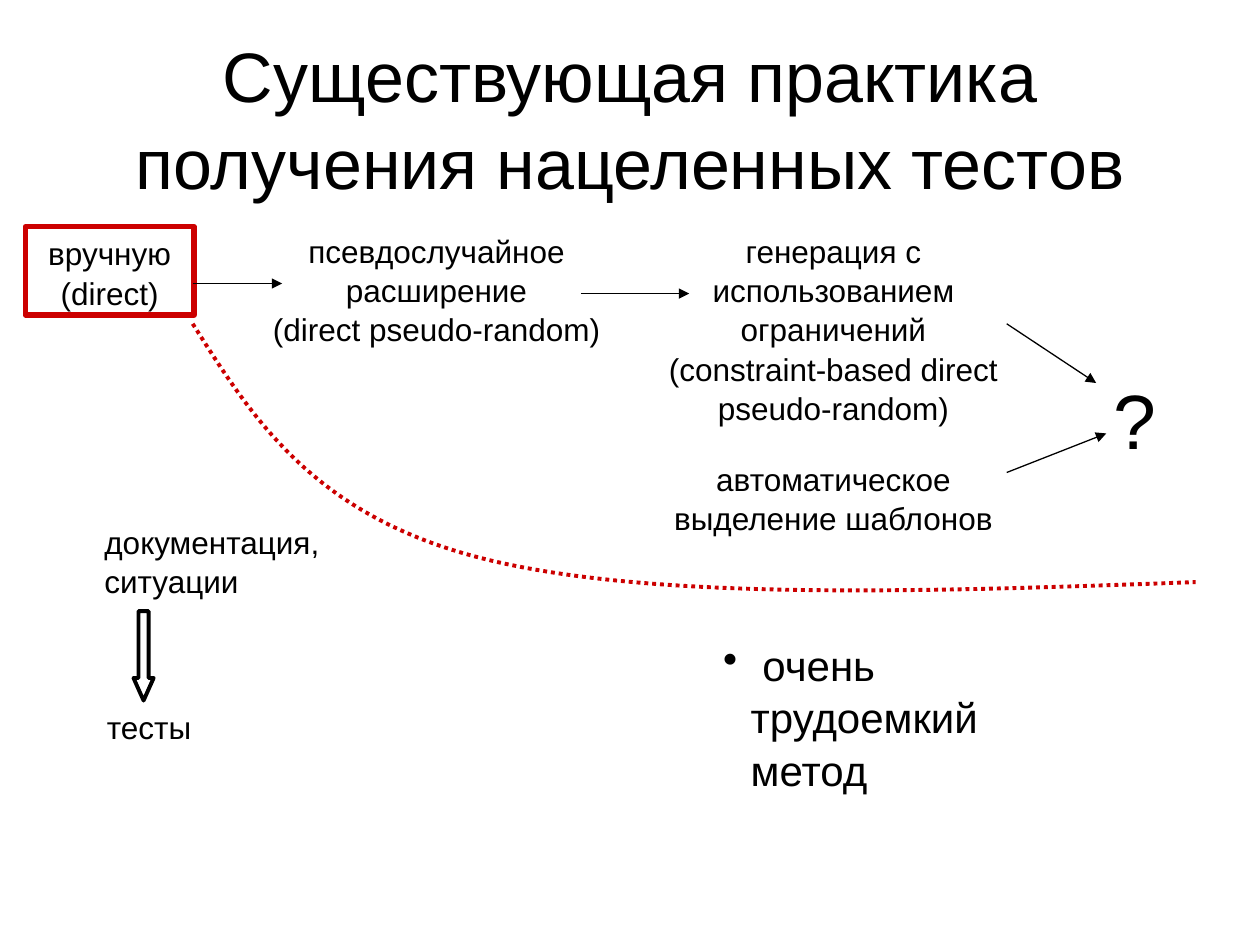
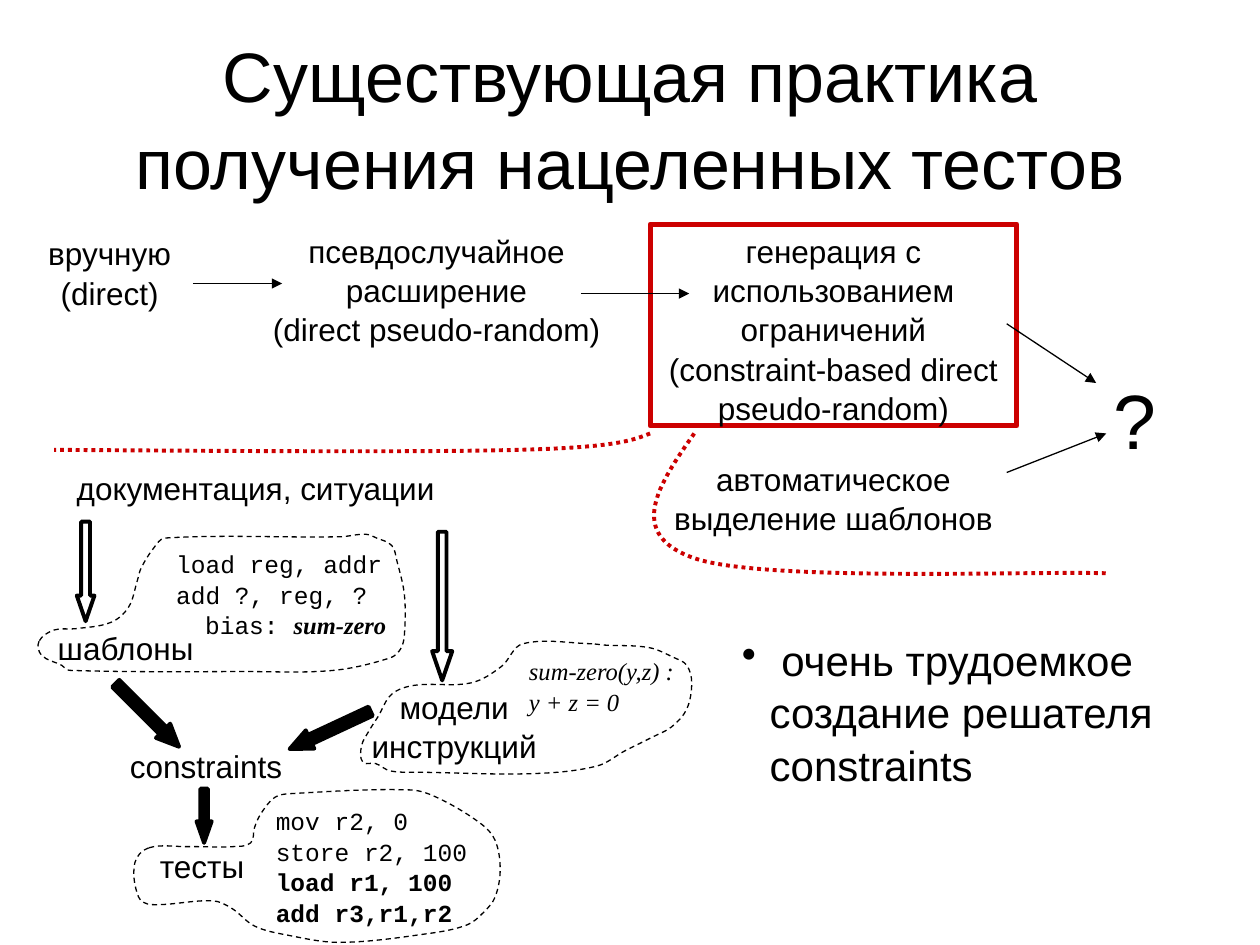
import math

from pptx import Presentation
from pptx.dml.color import RGBColor
from pptx.enum.dml import MSO_LINE
from pptx.enum.shapes import MSO_CONNECTOR, MSO_SHAPE
from pptx.enum.text import MSO_ANCHOR, MSO_AUTO_SIZE, PP_ALIGN
from pptx.oxml.ns import qn
from pptx.oxml.xmlchemy import OxmlElement
from pptx.util import Inches, Pt

RECT, DOWN_ARROW = MSO_SHAPE.RECTANGLE, MSO_SHAPE.DOWN_ARROW
STRAIGHT = MSO_CONNECTOR.STRAIGHT
DOTTED, DASHED = MSO_LINE.ROUND_DOT, MSO_LINE.DASH
LEFT, CENTER = PP_ALIGN.LEFT, PP_ALIGN.CENTER
MIDDLE = MSO_ANCHOR.MIDDLE
TOP = MSO_ANCHOR.TOP
GROW, FIXED = MSO_AUTO_SIZE.SHAPE_TO_FIT_TEXT, MSO_AUTO_SIZE.NONE

BLACK, WHITE, RED = "000000", "FFFFFF", "CC0000"
SANS, MONO, SERIF = "Arial", "Courier New", "Times New Roman"
LINE_SPACING = 1.04
BULLET_INDENT = 0.22
CODE_INDENT = 0.23

TITLE = "Существующая практика получения нацеленных тестов"

# Stages of practice: text and box
STAGES = {
    "direct": ("вручную (direct)", (0.2, 1.8, 1.34, 0.7)),
    "random": ("псевдослучайное расширение\n(direct pseudo-random)",
               (2.01, 1.78, 2.91, 1)),
    "constraint": ("генерация с использованием ограничений "
                   "(constraint-based direct pseudo-random)",
                   (5.16, 1.78, 2.91, 1.6)),
    "templates": ("автоматическое выделение шаблонов",
                  (5.16, 3.59, 2.91, 0.7)),
}
STAGE_ARROWS = [
    ((1.53, 2.25), (2.24, 2.25)),
    ((4.61, 2.33), (5.47, 2.33)),
    ((7.99, 2.57), (8.7, 3.04)),
    ((7.99, 3.75), (8.78, 3.44)),
]

# Anchor points of the dashed outlines
TEMPLATE_OUTLINE = [
    (0.31, 5.09), (0.33, 5.2), (0.49, 5.28), (0.55, 5.32), (1.97, 5.33),
    (2.65, 5.32), (3.1, 5.22), (3.18, 5.15), (3.21, 5.04), (3.21, 4.72),
    (3.15, 4.45), (3.11, 4.33), (2.99, 4.27), (2.9, 4.24), (2.7, 4.26),
    (1.31, 4.27), (1.22, 4.35), (1.12, 4.51), (1.09, 4.61), (1.02, 4.82),
    (0.88, 4.94), (0.6, 4.99), (0.43, 5),
]
MODEL_OUTLINE = [
    (4.7, 5.11), (4.15, 5.11), (3.98, 5.29), (3.74, 5.42), (3.29, 5.44),
    (3.11, 5.51), (3, 5.69), (2.93, 5.8), (2.87, 5.92), (2.88, 6.05),
    (2.98, 6.06), (3.1, 6.12), (3.36, 6.13), (4.25, 6.14), (4.74, 6.08),
    (4.96, 5.96), (5.18, 5.85), (5.33, 5.77), (5.45, 5.63), (5.49, 5.42),
    (5.45, 5.28), (5.35, 5.22), (5.15, 5.14), (4.79, 5.12),
]
TEST_OUTLINE = [
    (1.18, 6.73), (1.07, 6.85), (1.1, 7.12), (1.2, 7.18), (1.69, 7.15),
    (1.84, 7.21), (2.02, 7.35), (2.27, 7.42), (2.7, 7.48), (3.4, 7.41),
    (3.71, 7.34), (3.84, 7.24), (3.93, 7.12), (3.97, 6.9), (3.93, 6.67),
    (3.82, 6.54), (3.49, 6.34), (3.26, 6.27), (2.3, 6.3), (2.18, 6.33),
    (2.07, 6.46), (2.02, 6.57), (1.99, 6.69), (1.85, 6.72), (1.49, 6.72),
]


def rgb(value):
    return RGBColor.from_string(value)


def set_format(target, values):
    for name, value in values.items():
        setattr(target, name, value)


def closed_curve(anchors):
    """Bezier points of a smooth closed curve through the anchors."""
    count = len(anchors)

    def control(index, length):
        x, y = anchors[index % count]
        (x0, y0), (x1, y1) = anchors[index - 1], anchors[(index + 1) % count]
        reach = length / 3 / math.dist((x0, y0), (x1, y1))
        return x + (x1 - x0) * reach, y + (y1 - y0) * reach

    points = [anchors[0]]
    for index, anchor in enumerate(anchors):
        following = (index + 1) % count
        length = math.dist(anchor, anchors[following])
        points += [control(index, length), control(following, -length),
                   anchors[following]]
    return points


class Deck:
    def __init__(self):
        self.presentation = Presentation()
        self.presentation.slide_width = Inches(10)
        self.presentation.slide_height = Inches(7.5)
        self.shapes = None

    def new_slide(self):
        layout = self.presentation.slide_layouts[6]
        self.shapes = self.presentation.slides.add_slide(layout).shapes

    def outline(self, shape, color, width, dash=None, fill=None):
        shape.shadow.inherit = False
        set_format(shape.line, {"width": Pt(width), "dash_style": dash})
        shape.line.color.rgb = rgb(color)
        if fill:
            shape.fill.solid()
            shape.fill.fore_color.rgb = rgb(fill)
        else:
            shape.fill.background()

    def put_text(self, shape, paragraphs, size=18, font=SANS, align=LEFT,
                 wrap=True, anchor=TOP, fit=GROW, **style):
        """Each paragraph is a string or a list of (text, style) runs."""
        frame = shape.text_frame
        set_format(frame, {"word_wrap": wrap, "auto_size": fit,
                           "vertical_anchor": anchor})
        for index, runs in enumerate(paragraphs):
            paragraph = frame.add_paragraph() if index else frame.paragraphs[0]
            set_format(paragraph, {"alignment": align,
                                   "line_spacing": LINE_SPACING})
            if isinstance(runs, str):
                runs = [(runs, {})]
            for text, run_style in runs:
                for part, line in enumerate(text.split("\n")):
                    if part:
                        paragraph.add_line_break()
                    if not line:
                        continue
                    run = paragraph.add_run()
                    run.text = line
                    set_format(run.font, {"name": font, "size": Pt(size),
                                          **style, **run_style})
                    run.font.color.rgb = rgb(BLACK)
        return frame

    def label(self, box, *paragraphs, **style):
        shape = self.shapes.add_textbox(*map(Inches, box))
        return self.put_text(shape, paragraphs, **style)

    def bullet(self, box, text):
        frame = self.label(box, text, size=24)
        properties = frame.paragraphs[0]._p.get_or_add_pPr()
        properties.set("marL", str(Inches(BULLET_INDENT)))
        properties.set("indent", str(-Inches(BULLET_INDENT)))
        mark = OxmlElement("a:buChar")
        mark.set("char", "•")
        properties.append(mark)

    def stage(self, box, text, border):
        shape = self.shapes.add_shape(RECT, *map(Inches, box))
        self.outline(shape, border, 3)
        self.put_text(shape, [text], align=CENTER)

    def block_arrow(self, box, head, fill=None, rotation=0, shaft=0.5):
        arrow = self.shapes.add_shape(DOWN_ARROW, *map(Inches, box))
        arrow.adjustments[0], arrow.adjustments[1] = shaft, head
        arrow.rotation = rotation
        self.outline(arrow, BLACK, 2.25, fill=fill)

    def thin_arrow(self, start, end):
        arrow = self.shapes.add_connector(STRAIGHT, *map(Inches, start + end))
        arrow.line.width = Pt(0.75)
        arrow.line.color.rgb = rgb(BLACK)
        tip = OxmlElement("a:tailEnd")
        tip.set("type", "triangle")
        arrow.line._get_or_add_ln().append(tip)
        arrow._element.spPr.append(OxmlElement("a:effectLst"))

    def curve(self, points, color, width, dash, close=False):
        """Bezier curve: a start, then two controls and an end per segment."""
        start, *rest = [(Inches(x), Inches(y)) for x, y in points]
        builder = self.shapes.build_freeform(*start)
        builder.add_line_segments(rest, close=close)
        shape = builder.convert_to_shape()
        # Merge every three straight steps into one Bezier segment
        steps = list(shape._element.iter(qn("a:lnTo")))
        for index in range(0, len(rest), 3):
            segment = OxmlElement("a:cubicBezTo")
            steps[index].addprevious(segment)
            for step in steps[index:index + 3]:
                segment.append(step[0])
                step.getparent().remove(step)
        self.outline(shape, color, width, dash)

    def divider(self, *points):
        self.curve(points, RED, 2.25, DOTTED)

    def cloud(self, anchors):
        self.curve(closed_curve(anchors), BLACK, 0.75, DASHED, close=True)

    def practice(self, highlighted):
        """Title and the chain of stages, one of them framed in red."""
        self.new_slide()
        self.label((0.5, 0.3, 9, 1.25), TITLE, size=40, align=CENTER,
                   anchor=MIDDLE, fit=FIXED)
        for key, (text, box) in STAGES.items():
            self.stage(box, text, RED if key == highlighted else WHITE)
        self.label((8.54, 2.88, 0.94, 0.84), "?", size=44, align=CENTER)
        for start, end in STAGE_ARROWS:
            self.thin_arrow(start, end)


def manual_slide(deck):
    deck.practice("direct")
    # From documentation to tests
    deck.label((0.73, 4.09, 1.91, 0.7), "документация,\nситуации", wrap=False)
    deck.label((0.75, 5.56, 0.87, 0.4), "тесты", wrap=False)
    deck.block_arrow((1.06, 4.85, 0.16, 0.71), 1.12)
    # Drawback
    deck.bullet((5.64, 5.01, 2.9, 1.3), " очень трудоемкий\nметод")
    deck.divider((1.53, 2.57), (2.01, 3.33), (2.49, 4.09), (3.82, 4.43),
                 (5.15, 4.77), (7.32, 4.7), (9.49, 4.62))


def constraint_slide(deck):
    deck.practice("constraint")
    # Labels of the process
    deck.label((0.51, 3.66, 3.15, 0.4), "документация, ситуации")
    deck.label((1.17, 6.66, 0.87, 0.4), "тесты", wrap=False)
    deck.label((0.36, 4.93, 1.28, 0.4), "шаблоны", wrap=False)
    deck.label((2.82, 5.4, 1.57, 0.7), "модели инструкций", align=CENTER)
    deck.label((0.85, 5.87, 1.57, 0.4), "constraints", align=CENTER)
    # Hollow arrows from documentation, solid ones through constraints
    deck.block_arrow((0.61, 4.14, 0.14, 0.79), 1.45)
    deck.block_arrow((3.43, 4.22, 0.16, 1.18), 1.45, shaft=0.43)
    deck.block_arrow((1.09, 5.32, 0.16, 0.71), 1.12, BLACK, 315)
    deck.block_arrow((2.54, 5.44, 0.16, 0.71), 1.12, BLACK, 65)
    deck.block_arrow((1.56, 6.26, 0.12, 0.43), 1.42, BLACK)
    # Drawback
    deck.bullet((5.79, 4.97, 3.56, 1.3),
                " очень трудоемкое создание решателя constraints")
    # Examples of a template, a model and a test
    template = deck.label(
        (1.3, 4.3, 1.87, 0.8), "load reg, addr", "add ?, reg, ?",
        [("bias: ", {}),
         ("sum-zero", {"name": SERIF, "bold": True, "italic": True})],
        size=14, font=MONO, wrap=False)
    bias = template.paragraphs[2]._p.get_or_add_pPr()
    bias.set("marL", str(Inches(CODE_INDENT)))
    deck.label((4.1, 5.15, 1.37, 0.57), "sum-zero(y,z) :\ny + z = 0",
               size=14, font=SERIF, wrap=False, italic=True)
    deck.label((2.09, 6.34, 2.29, 1.04),
               [("mov r2, 0\nstore r2, 100\n", {}),
                ("load r1, 100", {"bold": True})],
               [("add r3,r1,r2", {"bold": True})], size=14, font=MONO)
    # Dividers and outlines
    deck.divider((5.16, 3.44), (5.03, 3.49), (4.91, 3.55), (4.12, 3.57),
                 (3.34, 3.59), (1.88, 3.58), (0.43, 3.57))
    deck.divider((5.51, 3.44), (5.23, 3.84), (4.96, 4.24), (5.51, 4.43),
                 (6.05, 4.62), (8.23, 4.53), (8.78, 4.55))
    for anchors in (TEMPLATE_OUTLINE, MODEL_OUTLINE, TEST_OUTLINE):
        deck.cloud(anchors)


def main():
    deck = Deck()
    manual_slide(deck)
    constraint_slide(deck)
    deck.presentation.save("out.pptx")


if __name__ == "__main__":
    main()
